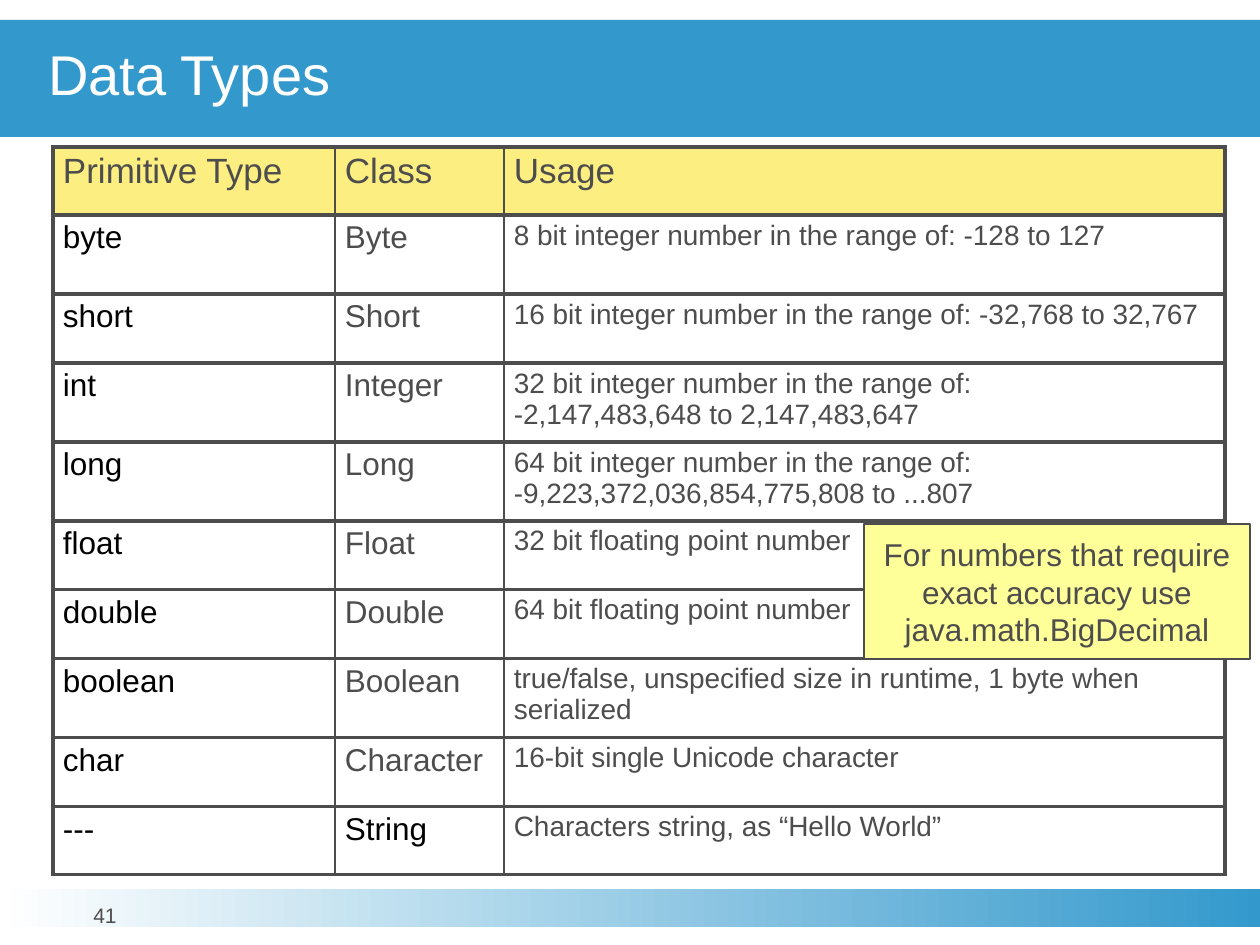
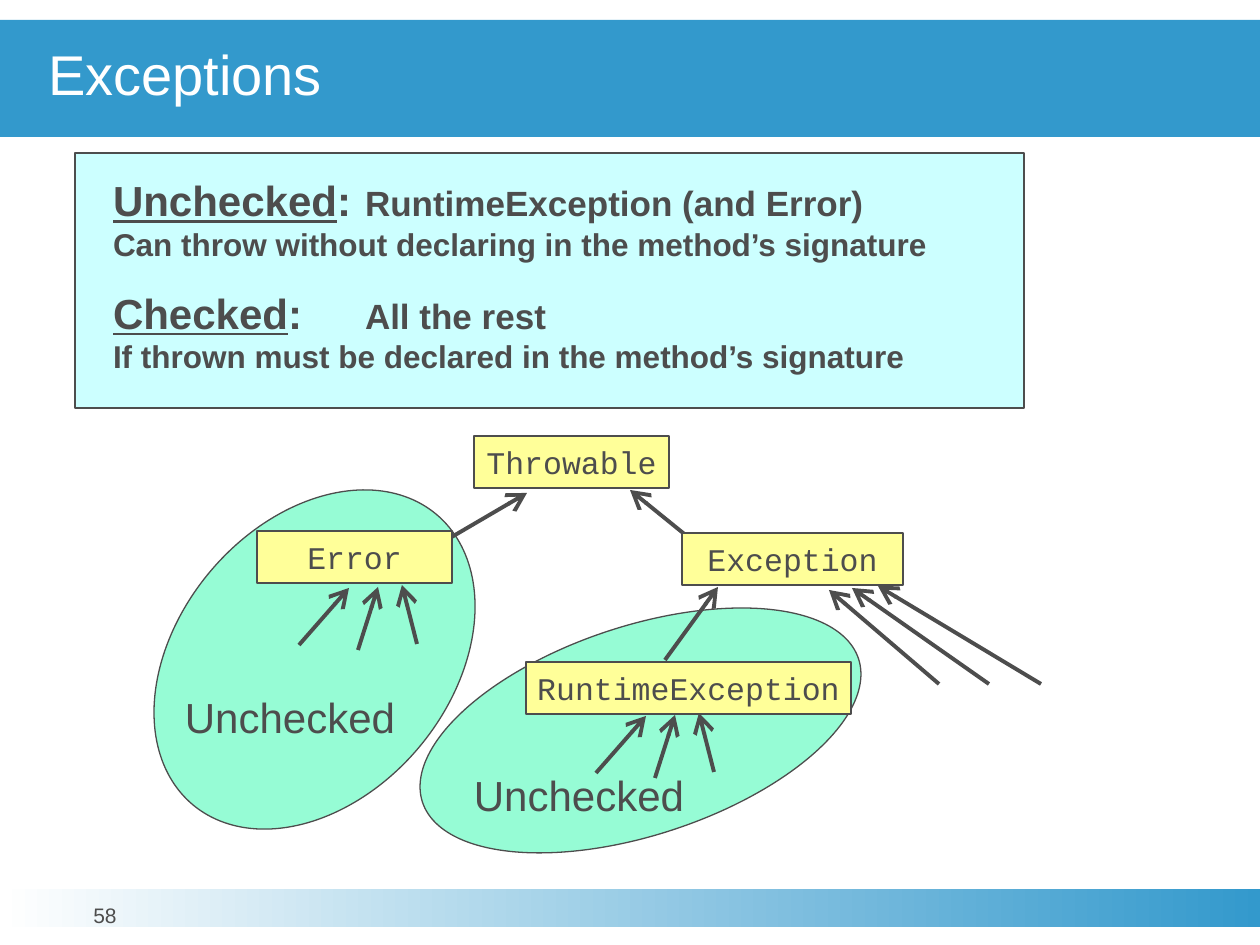
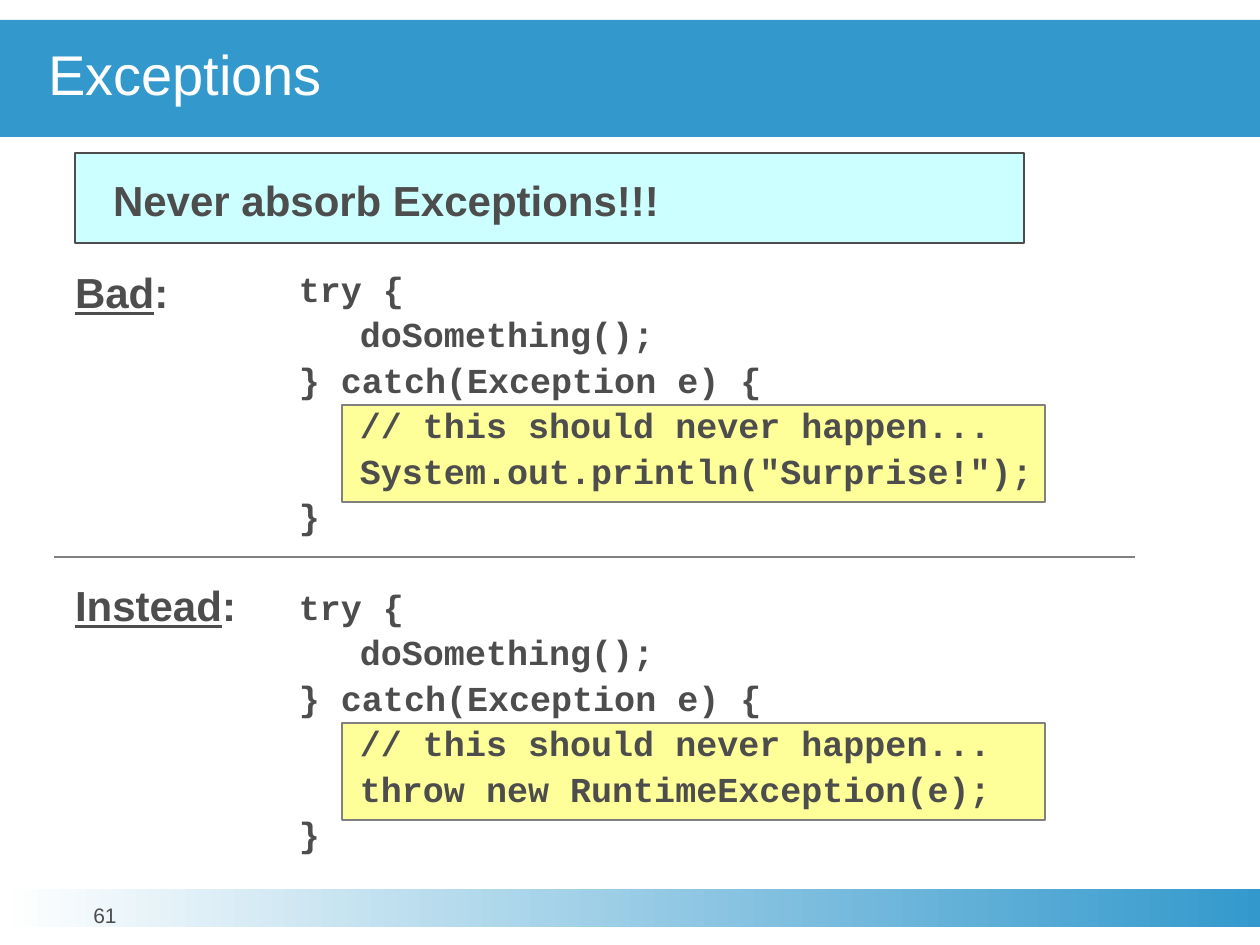
from collections import namedtuple
from copy import deepcopy

from lxml import etree
from pptx import Presentation
from pptx.dml.color import RGBColor
from pptx.enum.shapes import MSO_CONNECTOR, MSO_SHAPE
from pptx.enum.text import MSO_ANCHOR, MSO_AUTO_SIZE, PP_ALIGN
from pptx.oxml.ns import qn
from pptx.util import Emu, Pt

EMU_PER_PX = 914400 / 126
TITLE_ONLY = 5
RECTANGLE, OVAL = MSO_SHAPE.RECTANGLE, MSO_SHAPE.OVAL
STRAIGHT = MSO_CONNECTOR.STRAIGHT
TOP, MIDDLE = MSO_ANCHOR.TOP, MSO_ANCHOR.MIDDLE
LEFT, CENTER = PP_ALIGN.LEFT, PP_ALIGN.CENTER
NO_AUTOFIT = MSO_AUTO_SIZE.NONE

SANS, MONO = "Arial", "Courier New"
WHITE = RGBColor(0xFF, 0xFF, 0xFF)
BLACK = RGBColor(0x00, 0x00, 0x00)
DARK = RGBColor(0x4D, 0x4D, 0x4D)
GRAY = RGBColor(0x80, 0x80, 0x80)
BLUE = RGBColor(0x33, 0x99, 0xCC)
YELLOW = RGBColor(0xFF, 0xFF, 0x99)
GOLD = RGBColor(0xFC, 0xDE, 0x04)
CYAN = RGBColor(0xCC, 0xFF, 0xFF)
MINT = RGBColor(0x2E, 0xFA, 0xAC)

THIN, THICK = 1, 2.25
Box = namedtuple("Box", "left top width height")

TITLE_BAND = Box(0, 20, 1260, 117)
FOOTER_BAND = Box(0, 889, 1260, 38)
PAGE_NUMBER = Box(38, 905, 134, 39)

TYPE_COLUMNS = (282, 169, 721)
TYPE_HEADER = ("Primitive Type", "Class", "Usage")
TYPE_ROWS = (
    (79, "byte", "Byte", "8 bit integer number in the range of: -128 to 127"),
    (69, "short", "Short", "16 bit integer number in the range of: -32,768 to 32,767"),
    (79, "int", "Integer", "32 bit integer number in the range of:\n-2,147,483,648 to 2,147,483,647"),
    (79, "long", "Long", "64 bit integer number in the range of:\n-9,223,372,036,854,775,808 to ...807"),
    (69, "float", "Float", "32 bit floating point number"),
    (69, "double", "Double", "64 bit floating point number"),
    (79, "boolean", "Boolean", "true/false, unspecified size in runtime, 1 byte when serialized"),
    (69, "char", "Character", "16-bit single Unicode character"),
    (68, "---", "String", "Characters string, as “Hello World”"),
)
HEADER_HEIGHT = 68

EXCEPTION_KINDS = (
    ("Unchecked", "RuntimeException (and Error)",
     "Can throw without declaring in the method’s signature"),
    ("Checked", "All the rest",
     "If thrown must be declared in the method’s signature"),
)
# Positions inside the class diagram
UNCHECKED_AREAS = (
    (Box(28, 40, 273, 379), 40, Box(35, 262, 210, 50)),
    (Box(261, 196, 459, 209), 341.8, Box(324, 340, 210, 50)),
)
CLASSES = (
    ("Throwable", Box(324, 6, 195, 52)),
    ("Error", Box(107, 101, 195, 52)),
    ("Exception", Box(532, 103, 221, 52)),
    ("RuntimeException", Box(376, 232, 325, 52)),
)
PARENT_ARROWS = (
    (283, 118, 377, 63), (559, 124, 480, 60), (515, 230, 568, 157),
    (891, 254, 728, 156), (839, 254, 702, 158), (789, 254, 679, 160),
)
SUBCLASS_FAN = ((0, 60, 50, 3), (59, 65, 79, 2), (118, 59, 103, 0))
FAN_ORIGINS = ((149, 155), (446, 283))

CODE_INDENT = 61
CODE_START = ("try {", "\tdoSomething();", "} catch(Exception e) {",
              "\t// this should never happen...")


def px(value):
    return Emu(round(value * EMU_PER_PX))


def emu(box):
    return [px(value) for value in box]


def inside(outer, box):
    """Move a box given relative to outer onto the slide."""
    return Box(outer.left + box.left, outer.top + box.top, box.width, box.height)


def set_half_transparent(properties):
    color = properties.find(qn("a:solidFill"))[0]
    etree.SubElement(color, qn("a:alpha"), val="50000")


def add_text(paragraph, text, size, color=DARK, name=SANS, **extra):
    """Append text to the paragraph; a newline becomes a line break."""
    values = {"size": Pt(size), "name": name, **extra}
    for index, part in enumerate(text.split("\n")):
        if index:
            paragraph.add_line_break()
            paragraph._p[-1].append(deepcopy(run._r.rPr))
        run = paragraph.add_run()
        run.text = part
        run.font.color.rgb = color
        for attribute, value in values.items():
            setattr(run.font, attribute, value)


def set_frame(frame, margins=(0, 0, 0, 0), anchor=TOP, wrap=True):
    sides = ("margin_left", "margin_top", "margin_right", "margin_bottom")
    values = dict(zip(sides, map(px, margins)))
    values.update(vertical_anchor=anchor, word_wrap=wrap, auto_size=NO_AUTOFIT)
    for attribute, value in values.items():
        setattr(frame, attribute, value)
    return frame


def add_filled(slide, box, fill, line=DARK, kind=RECTANGLE):
    shape = slide.shapes.add_shape(kind, *emu(box))
    shape.shadow.inherit = False
    shape.fill.solid()
    shape.fill.fore_color.rgb = fill
    shape.line.color.rgb = line
    shape.line.width = Pt(0.75)
    return shape


def add_text_box(slide, box, **frame_values):
    return set_frame(slide.shapes.add_textbox(*emu(box)).text_frame, **frame_values)


def add_line(slide, ends, color=DARK, width=THICK, arrow=False):
    connector = slide.shapes.add_connector(STRAIGHT, *emu(ends))
    connector.line.color.rgb = color
    connector.line.width = Pt(width)
    if arrow:
        etree.SubElement(connector.line._get_or_add_ln(), qn("a:tailEnd"),
                         type="arrow", w="lg", len="lg")
    etree.SubElement(connector.element.spPr, qn("a:effectLst"))


def add_base_slide(presentation, title, number):
    """Add a slide with the title band, the footer band and the page number."""
    slide = presentation.slides.add_slide(presentation.slide_layouts[TITLE_ONLY])
    heading = slide.shapes.title
    heading.left, heading.top, heading.width, heading.height = emu(TITLE_BAND)
    heading.fill.solid()
    heading.fill.fore_color.rgb = BLUE
    frame = set_frame(heading.text_frame, margins=(48, 0, 0, 0), anchor=MIDDLE)
    paragraph = frame.paragraphs[0]
    paragraph.alignment = LEFT
    paragraph.line_spacing = 0.85
    add_text(paragraph, title, 32, WHITE)

    band = add_filled(slide, FOOTER_BAND, BLUE)
    band.line.fill.background()
    band.fill.gradient()
    band.fill.gradient_angle = 0
    for stop, color in zip(band.fill.gradient_stops, (WHITE, BLUE)):
        stop.color.rgb = color

    paragraph = add_text_box(slide, PAGE_NUMBER).paragraphs[0]
    paragraph.alignment = CENTER
    paragraph.line_spacing = Pt(13)
    add_text(paragraph, str(number), 12)
    return slide


def set_borders(cell, column):
    last = len(TYPE_COLUMNS) - 1
    widths = {
        "a:lnL": THIN if column else THICK,
        "a:lnR": THICK if column == last else THIN,
        "a:lnT": THICK,
        "a:lnB": THICK,
    }
    properties = cell._tc.get_or_add_tcPr()
    for tag, width in widths.items():
        border = etree.SubElement(properties, qn(tag), w=str(Pt(width)))
        fill = etree.SubElement(border, qn("a:solidFill"))
        etree.SubElement(fill, qn("a:srgbClr"), val=str(DARK))


def add_type_table(slide, box):
    shape = slide.shapes.add_table(len(TYPE_ROWS) + 1, len(TYPE_COLUMNS), *emu(box))
    table = shape.table
    table.first_row = table.horz_banding = False
    for column, width in zip(table.columns, TYPE_COLUMNS):
        column.width = px(width)
    rows = ((HEADER_HEIGHT, *TYPE_HEADER), *TYPE_ROWS)
    for row_index, (height, *texts) in enumerate(rows):
        table.rows[row_index].height = px(height)
        for column, text in enumerate(texts):
            cell = table.cell(row_index, column)
            cell.margin_left = cell.margin_right = px(10)
            cell.margin_top, cell.margin_bottom = px(5), px(8)
            set_borders(cell, column)
            size, color = (18, 18, 16)[column], DARK
            if row_index == 0:
                size = 20
                cell.fill.solid()
                cell.fill.fore_color.rgb = GOLD
                set_half_transparent(cell._tc.tcPr)
            else:
                cell.fill.background()
                if column == 0 or text == "String":
                    color = BLACK
            add_text(cell.text_frame.paragraphs[0], text, size, color)


def add_centered_box(slide, box, text, name=SANS, margin=0, wrap=False):
    shape = add_filled(slide, box, YELLOW)
    frame = set_frame(shape.text_frame, (margin,) * 4, MIDDLE, wrap)
    frame.paragraphs[0].alignment = CENTER
    add_text(frame.paragraphs[0], text, 18, name=name)


def add_panel(slide, box):
    """Add the cyan panel and return its empty text frame."""
    shape = add_filled(slide, box, CYAN)
    frame = set_frame(shape.text_frame, margins=(38, 22, 0, 0))
    frame.paragraphs[0].alignment = LEFT
    return frame


def add_kinds_panel(slide, box):
    frame = add_panel(slide, box)
    for index, (kind, members, rule) in enumerate(EXCEPTION_KINDS):
        heading = frame.add_paragraph() if index else frame.paragraphs[0]
        heading.alignment = LEFT
        if index:
            heading.space_before = Pt(13.7)
        tabs = etree.SubElement(heading._p.get_or_add_pPr(), qn("a:tabLst"))
        etree.SubElement(tabs, qn("a:tab"), pos=str(px(252)), algn="l")
        add_text(heading, kind, 24, bold=True, underline=True)
        add_text(heading, ":\t", 24, bold=True)
        add_text(heading, members, 20, bold=True)
        detail = frame.add_paragraph()
        detail.alignment = LEFT
        add_text(detail, rule, 18, bold=True)


def add_class_diagram(slide, box):
    for area, rotation, label in UNCHECKED_AREAS:
        ellipse = add_filled(slide, inside(box, area), MINT, kind=OVAL)
        ellipse.rotation = rotation
        set_half_transparent(ellipse.element.spPr)
        frame = add_text_box(slide, inside(box, label), anchor=MIDDLE, wrap=False)
        frame.paragraphs[0].alignment = CENTER
        add_text(frame.paragraphs[0], "Unchecked", 24)

    groups = [((0, 0), PARENT_ARROWS)]
    groups += [(origin, SUBCLASS_FAN) for origin in FAN_ORIGINS]
    for (left, top), arrows in groups:
        x, y = box.left + left, box.top + top
        for x1, y1, x2, y2 in arrows:
            add_line(slide, (x + x1, y + y1, x + x2, y + y2), arrow=True)

    for name, place in CLASSES:
        add_centered_box(slide, inside(box, place), name, MONO)


def add_code_sample(slide, box, label, label_top, last_statement):
    """Add a labelled try/catch block with its handler highlighted."""
    add_filled(slide, inside(box, Box(267, 138, 703, 97)), YELLOW, GRAY)
    frame = add_text_box(slide, inside(box, Box(0, label_top, 210, 50)))
    add_text(frame.paragraphs[0], label, 24, bold=True, underline=True)
    add_text(frame.paragraphs[0], ":", 24, bold=True)

    frame = add_text_box(slide, inside(box, Box(224, 0, 756, 274)))
    for index, line in enumerate((*CODE_START, "\t" + last_statement, "}")):
        paragraph = frame.add_paragraph() if index else frame.paragraphs[0]
        if index:
            paragraph.space_before = Pt(2)
        if line.startswith("\t"):
            paragraph._p.get_or_add_pPr().set("marL", str(px(CODE_INDENT)))
        add_text(paragraph, line.strip(), 20, name=MONO, bold=True)


def build_data_types(presentation):
    slide = add_base_slide(presentation, "Data Types", 41)
    add_type_table(slide, Box(53, 147, 1172, 728))
    add_centered_box(
        slide, Box(864, 524, 386, 135),
        "For numbers that require exact accuracy use java.math.BigDecimal",
        margin=10, wrap=True)


def build_exception_kinds(presentation):
    slide = add_base_slide(presentation, "Exceptions", 58)
    add_kinds_panel(slide, Box(75, 153, 949, 255))
    add_class_diagram(slide, Box(150, 430, 891, 424))


def build_exception_handling(presentation):
    slide = add_base_slide(presentation, "Exceptions", 61)
    frame = add_panel(slide, Box(75, 153, 949, 90))
    add_text(frame.paragraphs[0], "Never absorb Exceptions!!!", 24, bold=True)
    add_code_sample(slide, Box(75, 267, 980, 274), "Bad", 0,
                    'System.out.println("Surprise!");')
    add_code_sample(slide, Box(75, 585, 980, 274), "Instead", -5,
                    "throw new RuntimeException(e);")
    add_line(slide, (54, 557, 1135, 557), GRAY, 1.25)


def main():
    presentation = Presentation()
    presentation.slide_width, presentation.slide_height = px(1260), px(945)
    build_data_types(presentation)
    build_exception_kinds(presentation)
    build_exception_handling(presentation)
    presentation.save("out.pptx")


if __name__ == "__main__":
    main()
